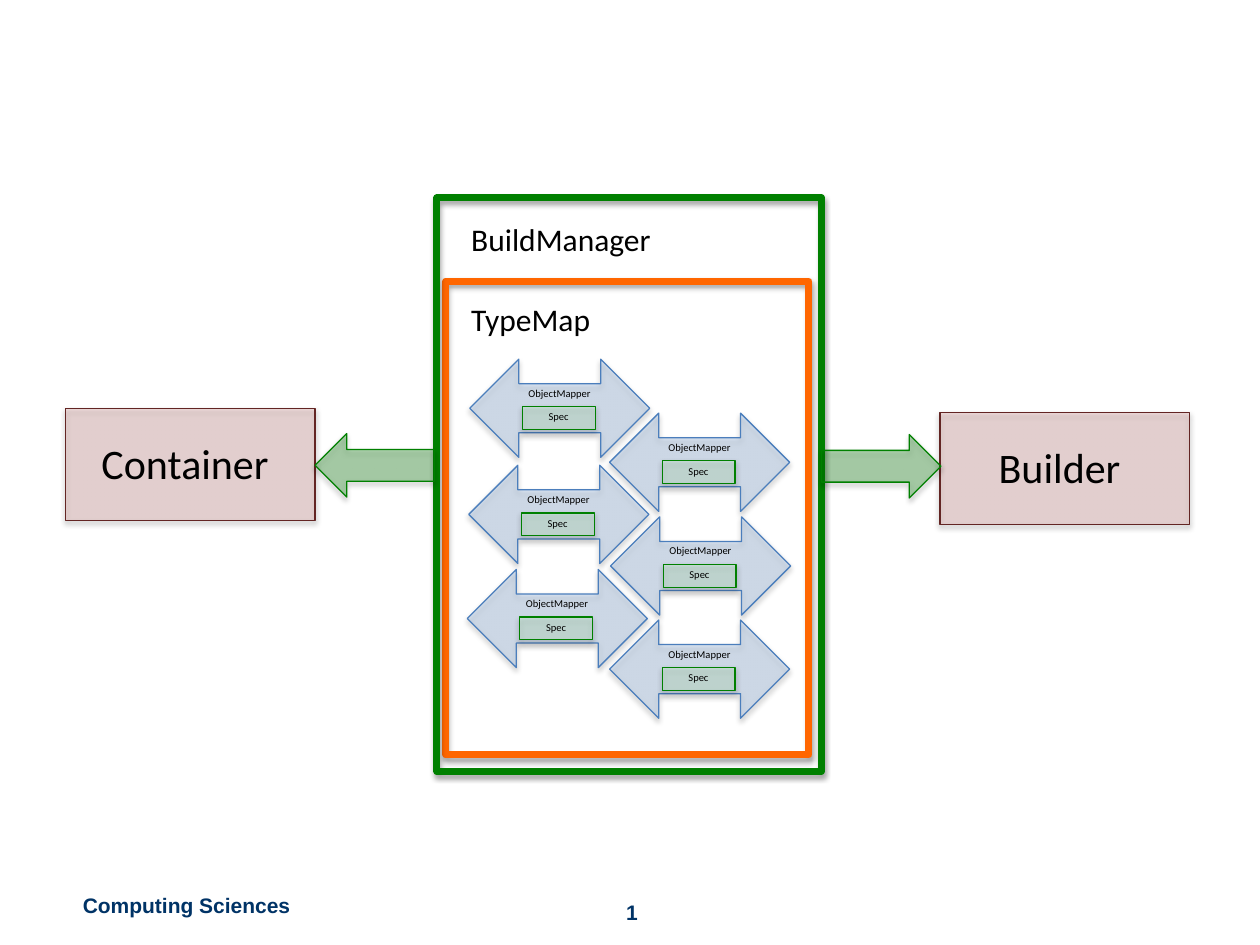
from dataclasses import dataclass
from typing import Any

from lxml.etree import SubElement
from pptx import Presentation
from pptx.dml.color import RGBColor
from pptx.enum.shapes import MSO_SHAPE
from pptx.enum.text import MSO_ANCHOR, MSO_AUTO_SIZE, PP_ALIGN
from pptx.oxml.ns import qn
from pptx.util import Cm, Pt

COLORS = {
    "text": "000000",
    "footer": "003366",
    "end_fill": "D99694",
    "end_line": "632523",
    "mapper_fill": "8EB4E3",
    "mapper_line": "4B7EBC",
    "spec_fill": "CCFFCC",
    "green": "008000",
    "orange": "FF6600",
}


def color(name):
    return RGBColor.from_string(COLORS[name])


def write(frame, text, size=18, font="Calibri", ink="text", bold=False, align=PP_ALIGN.LEFT):
    para = frame.paragraphs[0]
    para.alignment = align
    span = para.add_run()
    span.text = text
    span.font.size = Pt(size)
    span.font.name = font
    span.font.bold = bold
    span.font.color.rgb = color(ink)


@dataclass
class Diagram:
    page: Any
    opacity: int = 29
    thin: float = 0.75
    thick: float = 4

    def shape(self, kind, left, top, width, height, line, fill=None, weight=None, rotation=0):
        shape = self.page.shapes.add_shape(kind, Cm(left), Cm(top), Cm(width), Cm(height))
        shape.rotation = rotation
        shape.line.color.rgb = color(line)
        shape.line.width = Pt(weight or self.thin)
        if fill:
            shape.fill.solid()
            shape.fill.fore_color.rgb = color(fill)
            paint = shape.fill._xPr.find(qn("a:solidFill"))
            SubElement(paint[0], qn("a:alpha"), val=str(self.opacity * 1000))
        else:
            shape.fill.background()
        self.shadow(shape)

    def shadow(self, shape):
        shape.shadow.inherit = False
        effects = shape._element.spPr.find(qn("a:effectLst"))
        outer = SubElement(effects, qn("a:outerShdw"), blurRad="40000", dist="23000",
                           dir="5400000", rotWithShape="0")
        tint = SubElement(outer, qn("a:srgbClr"), val=COLORS["text"])
        SubElement(tint, qn("a:alpha"), val="35000")

    def label(self, text, left, top, width, height, wrap=True, grow=True,
              anchor=MSO_ANCHOR.TOP, **style):
        box = self.page.shapes.add_textbox(Cm(left), Cm(top), Cm(width), Cm(height))
        frame = box.text_frame
        frame.word_wrap = wrap
        frame.auto_size = MSO_AUTO_SIZE.SHAPE_TO_FIT_TEXT if grow else MSO_AUTO_SIZE.NONE
        frame.vertical_anchor = anchor
        write(frame, text, **style)

    def endpoint(self, text, left, top):
        self.shape(MSO_SHAPE.RECTANGLE, left, top, 5.03, 2.26, "end_line", "end_fill")
        self.label(text, left + 0.25, top + 0.46, 4.32, 1.27, size=24, align=PP_ALIGN.CENTER)

    def mapper(self, left, top):
        self.shape(MSO_SHAPE.LEFT_RIGHT_ARROW, left, top, 3.63, 1.98,
                   "mapper_line", "mapper_fill")
        self.shape(MSO_SHAPE.RECTANGLE, left + 1.06, top + 0.96, 1.47, 0.46,
                   "green", "spec_fill")
        for text, across, down in (("ObjectMapper", 0.86, 0.43), ("Spec", 0.84, 0.91)):
            self.label(text, left + across, top + down, 1.9, 0.51,
                       size=6, align=PP_ALIGN.CENTER)

    def frame(self, left, top, width, height, line):
        self.shape(MSO_SHAPE.RECTANGLE, left, top, width, height, line, weight=self.thick)

    def arrow(self, left, top, rotation=0):
        self.shape(MSO_SHAPE.RIGHT_ARROW, left, top, 2.41, 1.28, "green", "green",
                   rotation=rotation)


def main():
    deck = Presentation()
    deck.slide_width = Cm(25.4)
    deck.slide_height = Cm(19.05)
    diagram = Diagram(deck.slides.add_slide(deck.slide_layouts[6]))

    footer = {"size": 12, "font": "Arial", "ink": "footer", "bold": True}
    diagram.label("Computing Sciences", 1.42, 17.86, 4.75, 0.76, wrap=False, **footer)
    diagram.label("1", 9.78, 17.75, 5.92, 1.02, grow=False, anchor=MSO_ANCHOR.BOTTOM,
                  align=PP_ALIGN.CENTER, **footer)

    diagram.endpoint("Container", 1.32, 8.23)
    diagram.endpoint("Builder", 18.95, 8.31)

    for left, top in ((9.47, 7.24), (9.45, 9.38), (12.29, 8.33),
                      (9.42, 11.48), (12.31, 10.42), (12.29, 12.5)):
        diagram.mapper(left, top)

    diagram.frame(8.99, 5.67, 7.32, 9.55, "orange")
    diagram.frame(8.81, 3.99, 7.75, 11.56, "green")
    diagram.label("TypeMap", 9.25, 5.92, 5.82, 1.04)
    diagram.label("BuildManager", 9.25, 4.32, 5.82, 1.04)

    diagram.arrow(16.56, 8.76)
    diagram.arrow(6.35, 8.74, rotation=180)

    deck.save("out.pptx")


if __name__ == "__main__":
    main()
